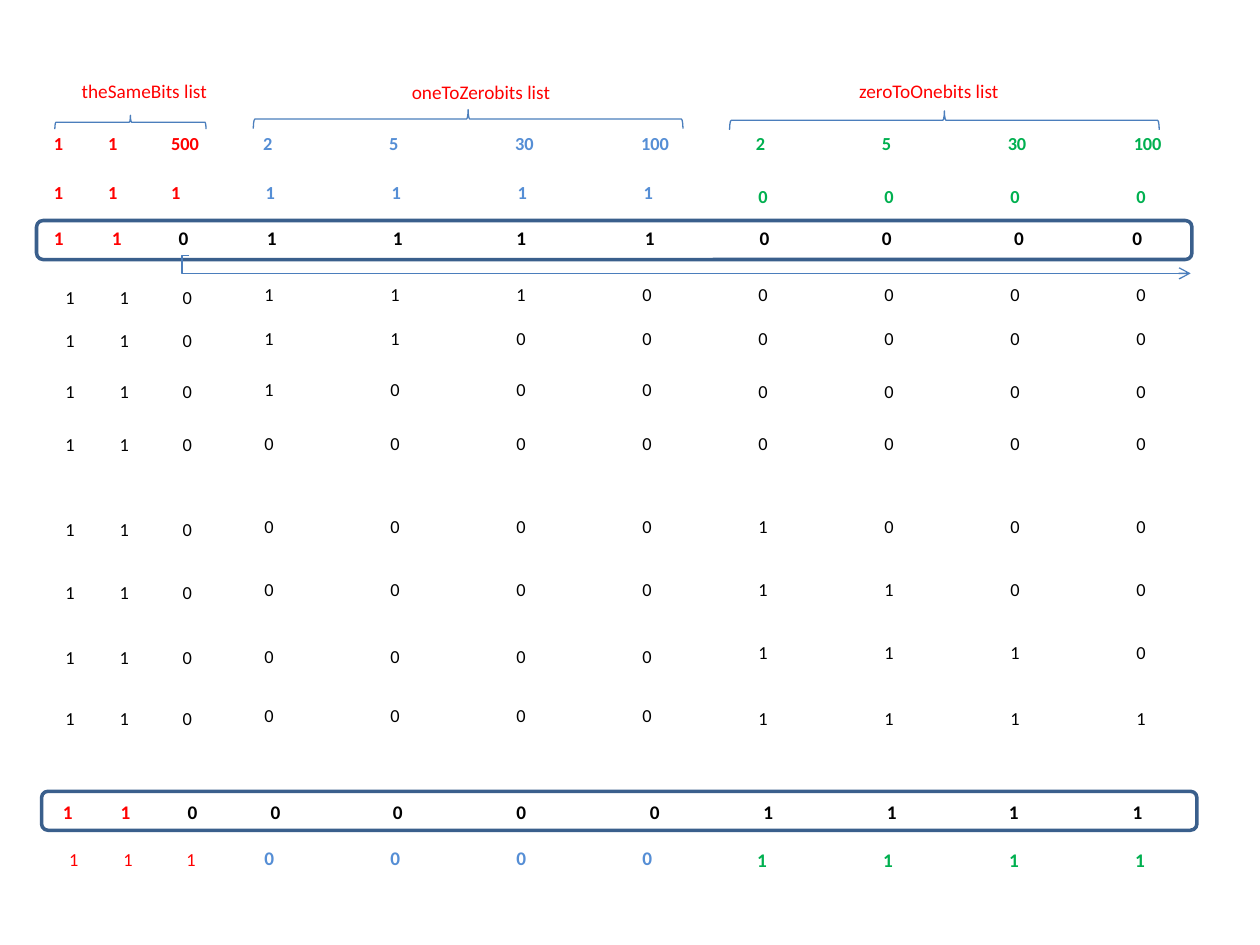
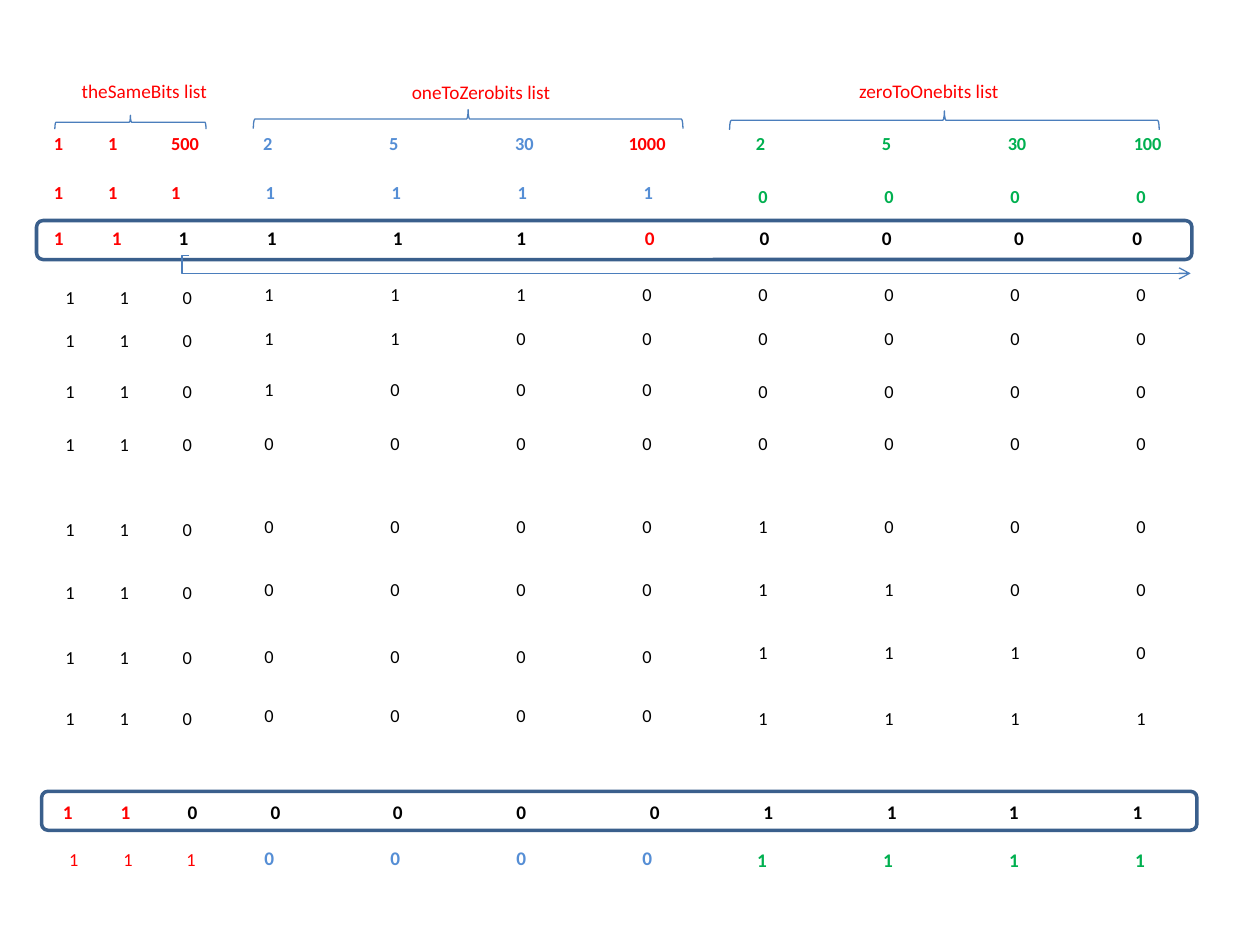
from dataclasses import dataclass
from itertools import groupby

from lxml import etree
from pptx import Presentation
from pptx.dml.color import RGBColor
from pptx.enum.shapes import MSO_CONNECTOR, MSO_SHAPE
from pptx.enum.text import MSO_AUTO_SIZE
from pptx.oxml.ns import qn
from pptx.slide import Slide
from pptx.util import Inches, Pt

ELBOW = MSO_CONNECTOR.ELBOW
BRACE = MSO_SHAPE.LEFT_BRACE
ROUND = MSO_SHAPE.ROUNDED_RECTANGLE
GROW = MSO_AUTO_SIZE.SHAPE_TO_FIT_TEXT


@dataclass(frozen=True)
class Theme:
    """Colours, font and type sizes of the deck."""
    red: str = "FF0000"
    blue: str = "558ED5"
    green: str = "00B050"
    black: str = "000000"
    line: str = "4B7EBC"
    frame: str = "3A5F8C"
    font: str = "Calibri"
    small: float = 10.5
    large: float = 11


@dataclass(frozen=True)
class Row:
    """A line of values set on tab stops; marks lists the red ones."""
    left: float
    top: float
    width: float
    vals: list[str]
    stops: tuple[float, ...] = ()
    hue: str = "000000"
    size: float = 10.5
    bold: bool = False
    marks: tuple[int, ...] = ()
    wrap: bool = True


@dataclass(frozen=True)
class Case:
    """What differs between the slides."""
    head: Row
    bits: str
    marks: tuple[int, ...]


THEME = Theme()
SAME_STOPS = (0.43, 0.93)
FOUR_STOPS = (1, 2, 3)
START_STOPS = (0.46, 0.99, 1.69, 2.69, 3.67, 4.69, 5.6, 6.57, 7.62, 8.56)
END_STOPS = (0.46, 0.99, 1.65, 2.62, 3.6, 4.66, 5.56, 6.54, 7.51, 8.49)
FOUR = 4

# Tops of the same, one-to-zero and zero-to-one cells of each step
STEP_TOPS = [
    (2.22, 2.2, 2.2), (2.56, 2.55, 2.55), (2.97, 2.95, 2.97),
    (3.39, 3.38, 3.38), (4.06, 4.04, 4.04), (4.56, 4.54, 4.54),
    (5.08, 5.07, 5.04), (5.56, 5.54, 5.56),
]

LABELS = [
    Row(0.55, 0.58, 1.2, ["theSameBits list"], hue=THEME.red,
        size=THEME.large, wrap=False),
    Row(3.17, 0.59, 1.67, ["oneToZerobits list"], hue=THEME.red,
        size=THEME.large),
    Row(6.72, 0.58, 1.67, ["zeroToOnebits list"], hue=THEME.red,
        size=THEME.large),
]

# Left, top, width and height before the quarter turn
BRACES = [(0.98, 0.37, 0.11, 1.2), (3.64, -0.76, 0.15, 3.41),
          (7.42, -0.75, 0.15, 3.41)]
FRAMES = [(0.29, 1.75, 9.17, 0.31), (0.33, 6.28, 9.17, 0.31)]


def one_head(last: str, stop: float, marks: tuple[int, ...]) -> Row:
    """Give the index row of the one-to-zero list."""
    return Row(1.99, 1, 3.43, ["2", "5", "30", last], (1, 2, stop),
               THEME.blue, bold=True, marks=marks)


CASES = [
    Case(one_head("100", 3, ()), "11011110000", (0, 1)),
    Case(one_head("1000", 2.9, (3,)), "11111100000", (0, 1, 6)),
]


def same(left: float, top: float, vals: list[str], hue: str,
         bold: bool = False, width: float = 1.32) -> Row:
    """Give a row of the three shared bits."""
    return Row(left, top, width, vals, SAME_STOPS, hue, bold=bold)


def four(left: float, top: float, vals: list[str], hue: str,
         bold: bool = False, width: float = 3.33,
         size: float = THEME.small) -> Row:
    """Give a row of four values, an inch apart."""
    return Row(left, top, width, vals, FOUR_STOPS, hue, size, bold)


def fill_ones(count: int) -> list[str]:
    """Give four bits that start with count ones."""
    return list(("1" * count).ljust(FOUR, "0"))


def step_rows() -> list[Row]:
    """Clear the ones from the right, then set the zeros from the left."""
    rows = []
    for step, (same_top, one_top, zero_top) in enumerate(STEP_TOPS):
        ones = fill_ones(max(0, FOUR - 1 - step))
        zeros = fill_ones(max(0, step - FOUR + 1))
        rows += [same(0.42, same_top, list("110"), THEME.black),
                 four(2, one_top, ones, THEME.black),
                 four(5.92, zero_top, zeros, THEME.black)]
    return rows


def case_rows(case: Case) -> list[Row]:
    """List every text row of a slide."""
    return LABELS + [
        same(0.33, 1, ["1", "1", "500"], THEME.red, True, 1.43),
        case.head,
        four(5.9, 1, ["2", "5", "30", "100"], THEME.green, True, 3.43),
        same(0.33, 1.39, list("111"), THEME.red, True),
        four(2.01, 1.39, list("1111"), THEME.blue, True),
        four(5.92, 1.42, list("0000"), THEME.green, True),
        Row(0.33, 1.75, 8.87, list(case.bits), START_STOPS, THEME.black,
            THEME.large, True, case.marks),
        *step_rows(),
        Row(0.4, 6.3, 8.87, list("11000001111"), END_STOPS, THEME.black,
            THEME.large, True, (0, 1)),
        same(0.45, 6.68, list("111"), THEME.red),
        four(2, 6.67, list("0000"), THEME.blue, True, 3.83, THEME.large),
        four(5.91, 6.68, list("1111"), THEME.green, True, 3.51, THEME.large),
    ]


def add_row(slide: Slide, row: Row) -> None:
    """Write a row as one text box with tab stops."""
    box = slide.shapes.add_textbox(Inches(row.left), Inches(row.top),
                                   Inches(row.width), Inches(0.28))
    frame = box.text_frame
    frame.word_wrap = row.wrap
    frame.auto_size = GROW
    para = frame.paragraphs[0]
    if row.stops:
        tabs = etree.SubElement(para._p.get_or_add_pPr(), qn("a:tabLst"))
        for stop in row.stops:
            etree.SubElement(tabs, qn("a:tab"), pos=str(Inches(stop)),
                             algn="l")
    font = para.font
    font.name = THEME.font
    font.size = Pt(row.size)
    font.bold = row.bold
    font.color.rgb = RGBColor.from_string(row.hue)
    cells = enumerate(row.vals)
    for red, group in groupby(cells, lambda cell: cell[0] in row.marks):
        run = para.add_run()
        run.text = "".join(("\t" if i else "") + val for i, val in group)
        if red:
            run.font.color.rgb = RGBColor.from_string(THEME.red)


def add_line_shape(slide: Slide, kind: MSO_SHAPE, area: tuple[float, ...],
                   hue: str, weight: float, turn: float = 0) -> None:
    """Draw an unfilled outline shape."""
    shape = slide.shapes.add_shape(kind, *map(Inches, area))
    shape.rotation = turn
    shape.shadow.inherit = False
    shape.fill.background()
    shape.line.color.rgb = RGBColor.from_string(hue)
    shape.line.width = Pt(weight)


def add_arrow(slide: Slide) -> None:
    """Draw the bent arrow that sweeps under the start row."""
    arrow = slide.shapes.add_connector(ELBOW, Inches(1.5), Inches(2.03),
                                       Inches(9.45), Inches(2.17))
    arrow.line.color.rgb = RGBColor.from_string(THEME.line)
    arrow.line.width = Pt(0.75)
    props = arrow._element.spPr
    etree.SubElement(props.find(qn("a:ln")), qn("a:tailEnd"), type="arrow")
    etree.SubElement(props, qn("a:effectLst"))
    guides = props.find(qn("a:prstGeom")).get_or_add_avLst()
    etree.SubElement(guides, qn("a:gd"), name="adj1", fmla="val -700")


def build() -> None:
    """Make the deck and save it."""
    deck = Presentation()
    deck.slide_width, deck.slide_height = Inches(10), Inches(7.5)
    blank = deck.slide_layouts[6]
    for case in CASES:
        slide = deck.slides.add_slide(blank)
        for row in case_rows(case):
            add_row(slide, row)
        for area in BRACES:
            add_line_shape(slide, BRACE, area, THEME.line, 0.75, 90)
        for area in FRAMES:
            add_line_shape(slide, ROUND, area, THEME.frame, 2)
        add_arrow(slide)
    deck.save("out.pptx")


build()
